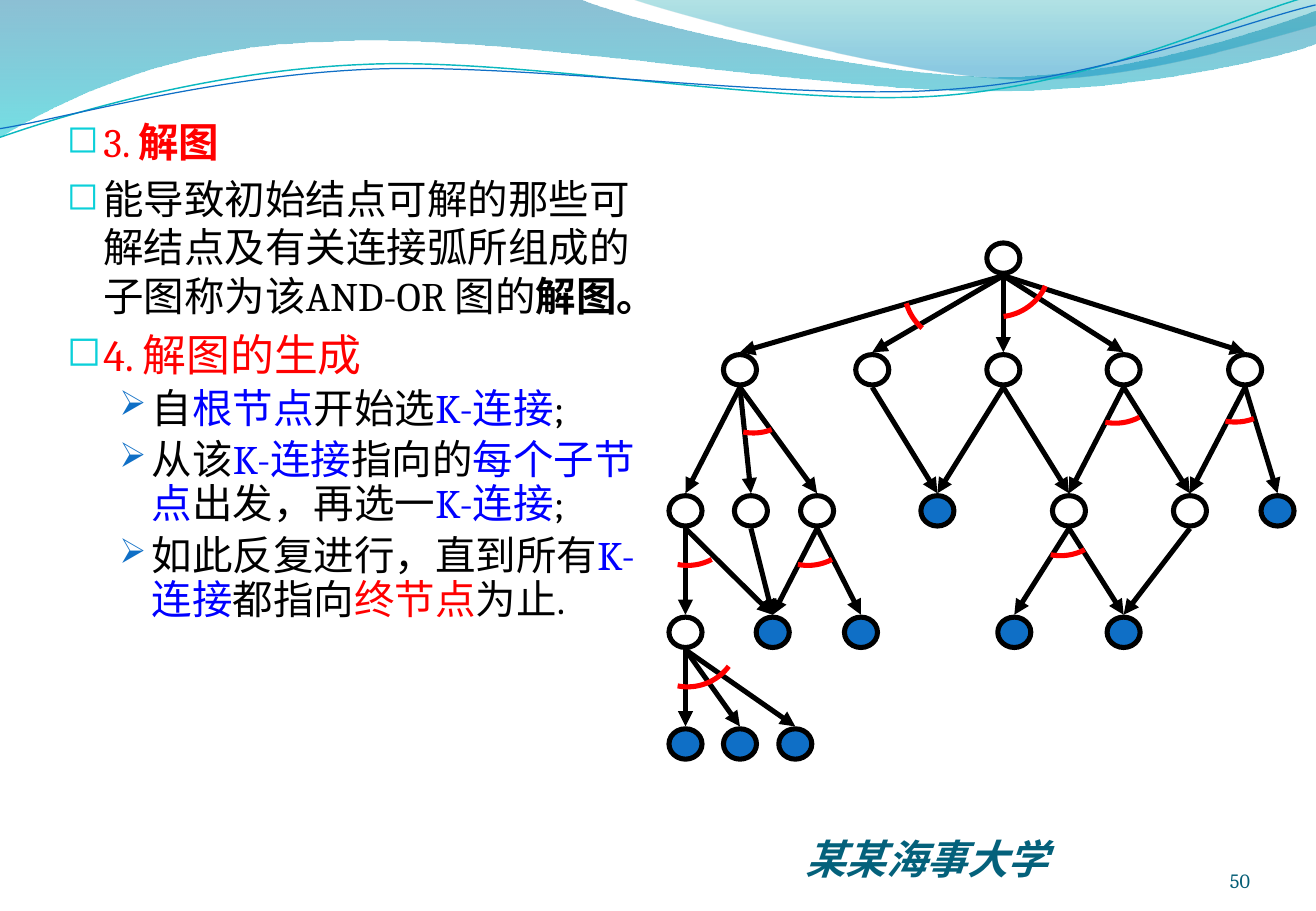
import copy
import math
from lxml import etree
from pptx import Presentation
from pptx import util as u
from pptx.dml import color
from pptx.enum import lang, shapes, text
from pptx.oxml import ns

Pt = u.Pt
RGB = color.RGBColor.from_string
theme = {
    "black": RGB("000000"), "white": RGB("FFFFFF"), "red": RGB("FF0000"),
    "blue": RGB("0000FF"), "node": RGB("0F6FC6"), "teal": RGB("0AB8BF"),
    "name": RGB("04617B"), "page": RGB("045D75"),
    "serif": "Cambria", "sans": "Arial", "mark": "OpenSymbol",
    "body": 24, "head": 26, "small": 12,
}

deck = Presentation()
deck.slide_width, deck.slide_height = Pt(780), Pt(540)
slide = deck.slides.add_slide(deck.slide_layouts[6])
items = slide.shapes


def wave(start, parts, close=False, turn=0):
    """Draw straight (2 numbers) and cubic (6 numbers) parts in a turned frame."""
    spin = complex(math.cos(math.radians(turn)), math.sin(math.radians(turn)))
    flat = list(start) + [n for part in parts for n in part]
    spots = [complex(Pt(x), Pt(y)) / spin for x, y in zip(flat[::2], flat[1::2])]
    spots = [(round(s.real), round(s.imag)) for s in spots]
    pen = items.build_freeform(*spots[0])
    pen.add_line_segments(spots[1:], close=close)
    shape = pen.convert_to_shape()
    shape.shadow.inherit = False
    # Join each three points of a cubic part into one curve
    steps = iter(list(shape._element.spPr.iter(ns.qn("a:lnTo"))))
    for part in parts:
        first, *rest = [next(steps) for _ in part[::2]]
        for step in rest:
            first.append(step[0])
            step.getparent().remove(step)
        if rest:
            first.tag = ns.qn("a:cubicBezTo")
    # Turn the frame about the slide's corner
    mid = complex(shape.left + shape.width / 2, shape.top + shape.height / 2) * spin
    shape.left = round(mid.real - shape.width / 2)
    shape.top = round(mid.imag - shape.height / 2)
    shape.rotation = turn
    return shape


def write(para, words, size, hue, face, bold=False, slant=False):
    """Add one run to a paragraph."""
    run = para.add_run()
    run.text = words
    font = run.font
    font.size, font.name, font.bold, font.italic = Pt(size), face, bold, slant
    font.color.rgb = theme[hue]
    font.language_id = lang.MSO_LANGUAGE_ID.SIMPLIFIED_CHINESE


# Header bands: start, parts, gradient stops (place, colour, opacity %)
bands = [
    ((0, 0), [(343.4, -0.7), (370.8, 12.2, 517.7, 45.4, 591.8, 45.4),
              (665.3, 45.4, 747.4, 18.7, 779.8, 6.5), (780.5, 25.9),
              (766.8, 31.7, 678.2, 54.7, 581.8, 54),
              (485.3, 54, 298.1, 20.2, 200.9, 24.5),
              (100.8, 25.9, 36, 59.8, -0.7, 81.4)],
     [(0, "0074A1", 45), (1, "00C6CF", 55)]),
    ((373.7, -0.7), [(397.4, 7.9, 532.1, 44.6, 599.8, 46.8),
                     (667.4, 49.7, 750.2, 23, 779.8, 15.1), (779.8, 0)],
     [(0, "00A1A9", 30), (0.8, "008BBF", 45)]),
]
for start, parts, stops in bands:
    band = wave(start, parts, True)
    band.line.fill.background()
    band.fill.gradient()
    band.fill.gradient_angle = 270
    for stop, (place, hue, _) in zip(band.fill.gradient_stops, stops):
        stop.position, stop.color.rgb = place, RGB(hue)
    for tint, (_, _, alpha) in zip(band._element.spPr.iter(ns.qn("a:srgbClr")), stops):
        etree.SubElement(tint, ns.qn("a:alpha"), val=str(alpha * 1000))

# Header lines
lines = [
    ((0, 81.4), [(37.4, 68.4, 123.1, 41.8, 216, 38.2),
                 (308.2, 33.8, 462.2, 63.4, 555.8, 56.9),
                 (649.4, 50.4, 732.2, 9.4, 778.3, -2.9)], "teal", 0.85),
    ((0, 76.3), [(36.7, 70.6, 127.4, 44.6, 221, 41),
                 (313.9, 37.4, 465.8, 59.8, 558.7, 53.3),
                 (652.3, 47.5, 734.4, 13.7, 779.8, 2.9)], "node", 0.75),
]
for start, parts, hue, width in lines:
    line = wave(start, parts, turn=357.3)
    line.fill.background()
    line.line.color.rgb, line.line.width = theme[hue], Pt(width)

# Body text: level, size, runs of (words, colour, bold)
body = [
    (0, "body", [("3. ", "red", False), ("解图", "red", True)]),
    (0, "body", [("能导致初始结点可解的那些可解结点及有关连接弧所组成的子图称为该AND-OR 图的", "black", False),
                 ("解图。", "black", True)]),
    (0, "head", [("4. 解图的生成", "red", False)]),
    (1, "body", [("自", "black", False), ("根节点", "blue", False), ("开始选", "black", False),
                 ("K-连接", "blue", False), (";", "black", False)]),
    (1, "body", [("从该", "black", False), ("K-连接", "blue", False), ("指向的", "black", False),
                 ("每个子节点", "blue", False), ("出发，再选一", "black", False),
                 ("K-连接", "blue", False), (";", "black", False)]),
    (1, "body", [("如此反复进行，直到所有", "black", False), ("K-连接", "blue", False),
                 ("都指向", "black", False), ("终节点", "red", False), ("为止.", "black", False)]),
]
# Level: left margin, hang, line spacing, bullet, its colour and size %
levels = [(21.6, 21.6, 1.0, "◻", "0BD0D9", 95), (50.4, 19.4, 0.9, "➢", "0F6FC6", 85)]
frame = items.add_textbox(Pt(32.6), Pt(65.8), Pt(351.4), Pt(408.2)).text_frame
frame.word_wrap = True
for i, (level, size, runs) in enumerate(body):
    para = frame.add_paragraph() if i else frame.paragraphs[0]
    left, hang, space, mark, hue, scale = levels[level]
    para.level, para.line_spacing, para.space_before = level, space, Pt(4.8)
    props = para._p.get_or_add_pPr()
    props.set("marL", str(Pt(left)))
    props.set("indent", str(-Pt(hang)))
    tint = etree.SubElement(props, ns.qn("a:buClr"))
    etree.SubElement(tint, ns.qn("a:srgbClr"), val=hue)
    etree.SubElement(props, ns.qn("a:buSzPct"), val=str(scale * 1000))
    etree.SubElement(props, ns.qn("a:buFont"), typeface=theme["mark"])
    etree.SubElement(props, ns.qn("a:buChar"), char=mark)
    for words, hue, bold in runs:
        write(para, words, theme[size], hue, theme["serif"], bold)

# Graph: row centres, node centres in each row, solved nodes, links down
rows = [153, 219.2, 302.8, 374.8, 441]
nodes = [
    [594.7],
    [438.6, 517, 594.7, 666, 738],
    [406.3, 445.1, 484.3, 555.6, 633.6, 705.3, 757.2],
    [406.3, 458, 510.3, 601.2, 666],
    [406.3, 438.6, 471.4],
]
solved = [[], [], [3, 6], [1, 2, 3, 4], [0, 1, 2]]
links = [
    {0: [0, 1, 2, 3, 4]},
    {0: [0, 1, 2], 1: [3], 2: [3, 4], 3: [4, 5], 4: [5, 6]},
    {0: [0, 1], 1: [1], 2: [1, 2], 4: [3, 4], 5: [4]},
    {0: [0, 1, 2]},
]
wide, high, reach = 19.6, 18, 10.4

for row, fans in enumerate(links):
    for top, ends in fans.items():
        for end in ends:
            link = items.add_connector(
                shapes.MSO_CONNECTOR.STRAIGHT,
                Pt(nodes[row][top]), Pt(rows[row] + reach),
                Pt(nodes[row + 1][end]), Pt(rows[row + 1] - reach))
            link.line.color.rgb, link.line.width = theme["black"], Pt(3)
            etree.SubElement(link.line._get_or_add_ln(), ns.qn("a:tailEnd"), type="triangle")
            etree.SubElement(link._element.spPr, ns.qn("a:effectLst"))

for row, (mid, spots) in enumerate(zip(rows, nodes)):
    for i, x in enumerate(spots):
        node = items.add_shape(shapes.MSO_SHAPE.OVAL, Pt(x - wide / 2), Pt(mid - high / 2),
                               Pt(wide), Pt(high))
        node.shadow.inherit = False
        node.fill.solid()
        node.fill.fore_color.rgb = theme["node" if i in solved[row] else "white"]
        node.line.color.rgb, node.line.width = theme["black"], Pt(3)

# AND arcs: hub, radius, first and last angle, turn of the frame
arcs = [
    (566.6, 171.4, 30.6, 131, 164, 130.9), (591, 156.2, 31.6, 25, 83, 176),
    (446.4, 226.1, 30.6, 69, 101, 67.3), (661, 220.3, 30.6, 62, 101, 67.3),
    (732.2, 219.6, 30.6, 69, 101, 67.3), (628.6, 298.8, 30.6, 62, 101, 67.3),
    (478.8, 304.6, 30.6, 62, 101, 67.3), (407.5, 304.6, 30.6, 62, 101, 67.3),
    (407.5, 376.6, 30.6, 37, 101, 67.3),
]
for x, y, radius, first, last, turn in arcs:
    bend = 4 / 3 * math.tan(math.radians(last - first) / 4)
    (ax, ay), (bx, by) = [(radius * math.cos(math.radians(a)), radius * math.sin(math.radians(a)))
                          for a in (first, last)]
    sweep = (x + ax - bend * ay, y + ay + bend * ax, x + bx + bend * by, y + by - bend * bx,
             x + bx, y + by)
    arc = wave((x + ax, y + ay), [sweep, (x, y)], True, turn)
    arc.fill.background()
    arc.line.color.rgb, arc.line.width = theme["red"], Pt(3)
    # Stroke the rim alone; the wedge to the hub has no line
    wedge = next(arc._element.spPr.iter(ns.qn("a:path")))
    rim = copy.deepcopy(wedge)
    for step in rim[2:]:
        rim.remove(step)
    rim.set("fill", "none")
    wedge.set("stroke", "0")
    wedge.addprevious(rim)

# School name and page number
frame = items.add_textbox(Pt(470.2), Pt(491), Pt(245.5), Pt(36.7)).text_frame
frame.word_wrap = True
write(frame.paragraphs[0], "某某海事大学", theme["body"], "name", theme["sans"], True, True)

frame = items.add_textbox(Pt(676.1), Pt(500.4), Pt(64.8), Pt(28.8)).text_frame
frame.word_wrap = True
frame.margin_left = frame.margin_right = frame.margin_top = frame.margin_bottom = 0
frame.vertical_anchor = text.MSO_ANCHOR.BOTTOM
frame.paragraphs[0].alignment = text.PP_ALIGN.RIGHT
write(frame.paragraphs[0], "50", theme["small"], "page", theme["serif"])

deck.save("out.pptx")
